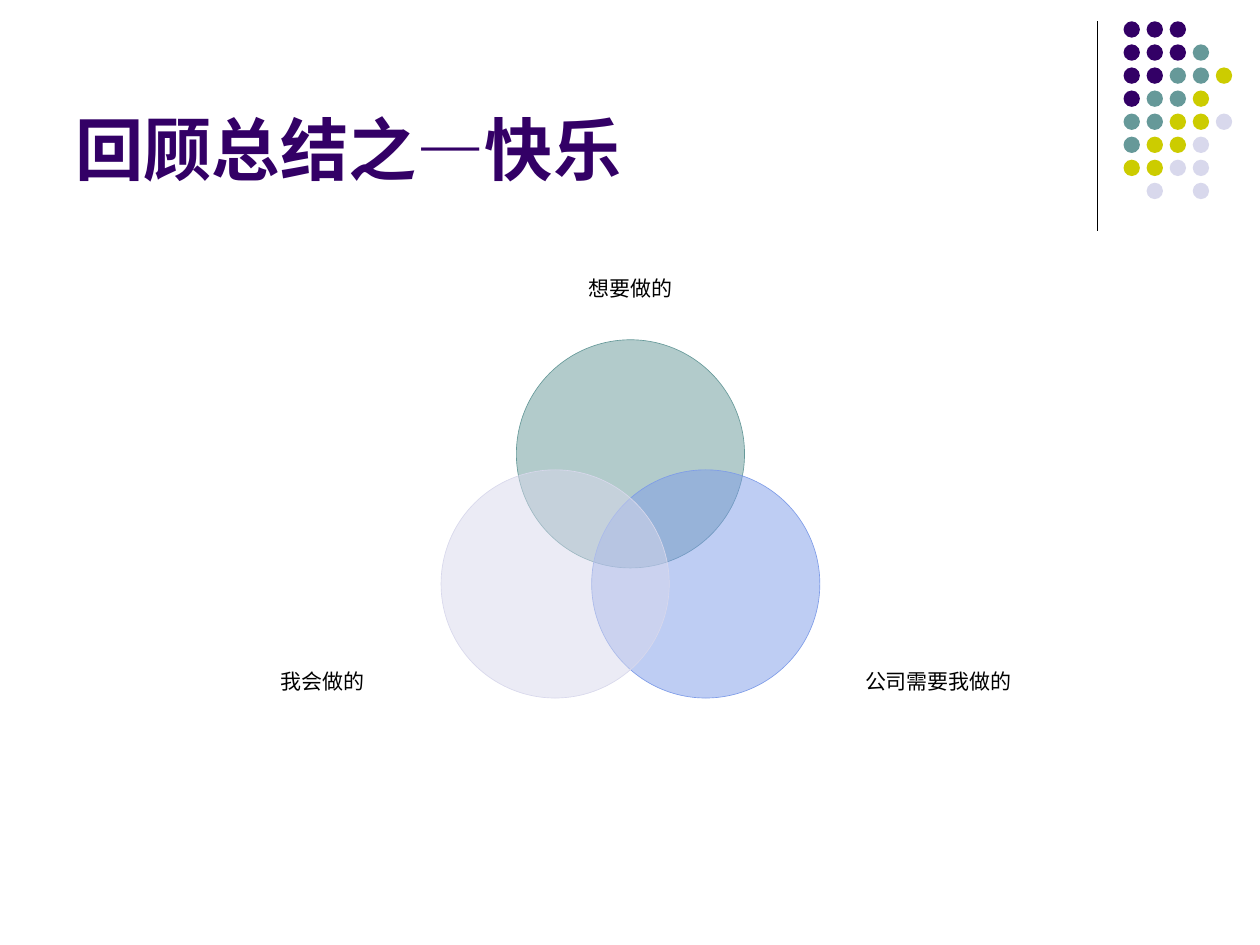
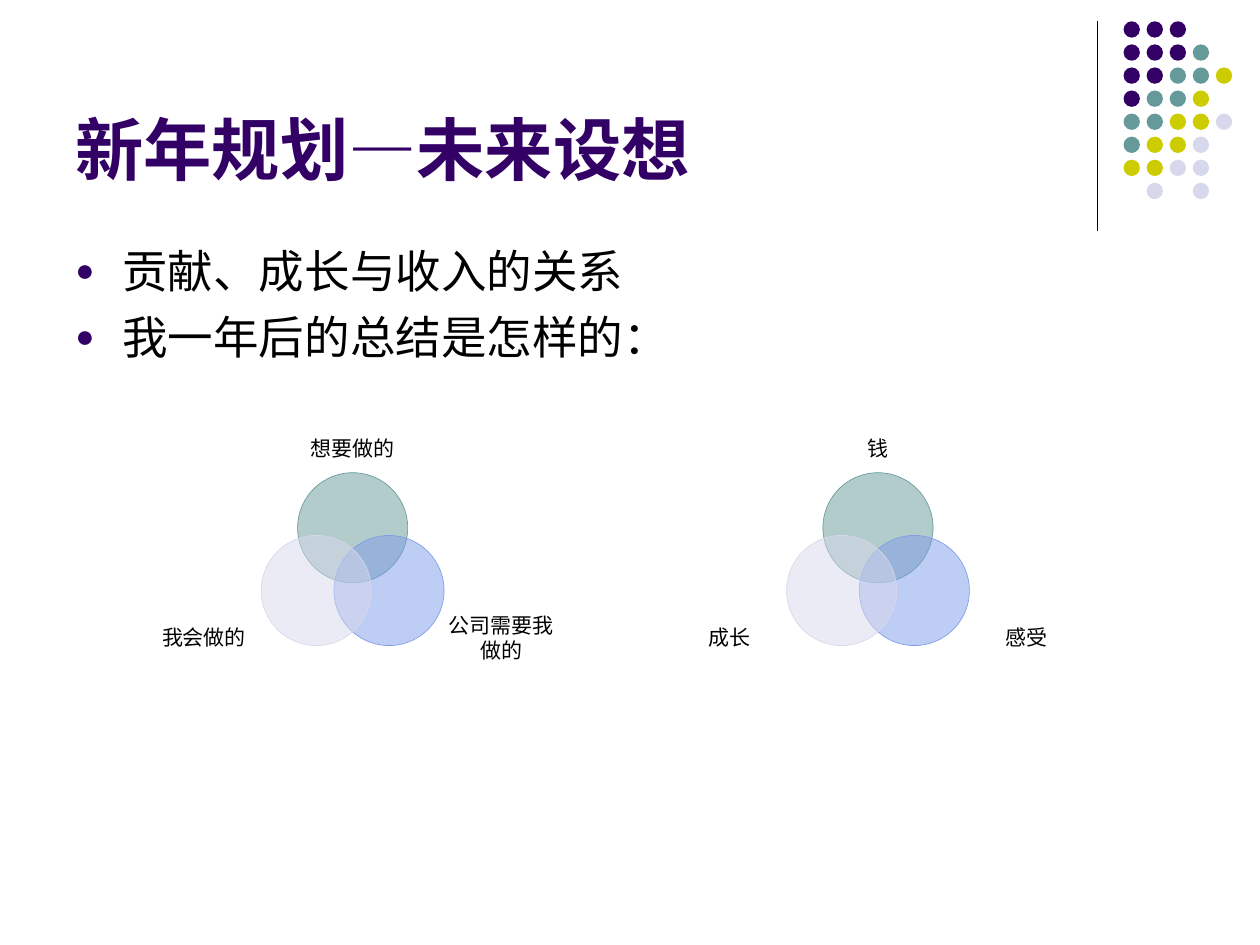
from lxml import etree
from pptx import Presentation
from pptx.dml.color import RGBColor
from pptx.enum.shapes import MSO_CONNECTOR, MSO_SHAPE
from pptx.enum.text import MSO_ANCHOR, PP_ALIGN
from pptx.oxml.ns import qn
from pptx.util import Cm, Pt

ELLIPSE = MSO_SHAPE.OVAL
STRAIGHT = MSO_CONNECTOR.STRAIGHT
TOP, MIDDLE, BOTTOM = MSO_ANCHOR.TOP, MSO_ANCHOR.MIDDLE, MSO_ANCHOR.BOTTOM
CENTER = PP_ALIGN.CENTER
BLANK_LAYOUT = 6

FONT = "Arial"
BLACK, PURPLE, TEAL = "000000", "330066", "669999"
OLIVE, LAVENDER, BLUE = "CCCC00", "D8D8EC", "7E9CE8"

DOT_COLORS = {"P": PURPLE, "T": TEAL, "O": OLIVE, "L": LAVENDER}
DOT_ROWS = ["PPP", "PPPT", "PPTTO", "PTTO", "TTOOL", "TOOL", "OOLL", " L L"]
DOT_LEFT, DOT_TOP, DOT_SIZE, DOT_PITCH = 22.65, 0.43, 0.33, 1.86 / 4

# Circle and label offsets from the top circle's corner, in circle diameters
VENN_LAYOUT = [
    (TEAL, (0, 0), (0, -0.35)),
    (BLUE, (0.33, 0.57), (1.35, 1.37)),
    (LAVENDER, (-0.33, 0.57), (-1.35, 1.37)),
]
LABEL_HEIGHT = 0.25


def rgb(color):
    return RGBColor.from_string(color)


def add_circle(slide, left, top, diameter, color):
    circle = slide.shapes.add_shape(
        ELLIPSE, Cm(left), Cm(top), Cm(diameter), Cm(diameter))
    circle.shadow.inherit = False
    circle.fill.solid()
    circle.fill.fore_color.rgb = rgb(color)
    circle.line.fill.background()
    return circle


def add_text(slide, box, lines, size, color=BLACK, anchor=TOP):
    """Add a wrapping text box at box (left, top, width, height in cm)."""
    frame = slide.shapes.add_textbox(*map(Cm, box)).text_frame
    frame.word_wrap = True
    frame.vertical_anchor = anchor
    frame.text = "\n".join(lines)
    for paragraph in frame.paragraphs:
        paragraph.font.name = FONT
        paragraph.font.size = Pt(size)
        paragraph.font.color.rgb = rgb(color)
    return frame


def add_title(slide, title):
    frame = add_text(slide, (1.27, 0.33, 20.95, 3.6), [title], 39, PURPLE, BOTTOM)
    frame.paragraphs[0].font.bold = True


def add_bullets(slide, lines):
    frame = add_text(slide, (1.27, 4.78, 17.02, 12.24), lines, 26)
    for paragraph in frame.paragraphs:
        paragraph.space_before = Pt(6.5)
        properties = paragraph._p.get_or_add_pPr()
        properties.set("marL", str(Cm(0.95)))
        properties.set("indent", str(-Cm(0.95)))
        bullet = [
            etree.Element(qn("a:buClr")),
            etree.Element(qn("a:buSzPct"), val="70000"),
            etree.Element(qn("a:buFont"), typeface=FONT),
            etree.Element(qn("a:buChar"), char="●"),
        ]
        etree.SubElement(bullet[0], qn("a:srgbClr"), val=PURPLE)
        spacing = properties.find(qn("a:spcBef"))
        for element in reversed(bullet):
            spacing.addnext(element)


def add_venn(slide, left, top, diameter, labels):
    """Draw three overlapping circles; left and top place the upper one."""
    for label, (color, circle_at, label_at) in zip(labels, VENN_LAYOUT):
        circle = add_circle(slide, left + circle_at[0] * diameter,
                            top + circle_at[1] * diameter, diameter, color)
        circle.line.color.rgb = rgb(color)
        circle.line.width = Pt(0.37)
        fill_color = circle._element.spPr.find(qn("a:solidFill"))[0]
        etree.SubElement(fill_color, qn("a:alpha"), val="50000")

        box = (left + label_at[0] * diameter, top + label_at[1] * diameter,
               diameter, LABEL_HEIGHT * diameter)
        frame = add_text(slide, box, [label], 12, anchor=MIDDLE)
        frame.word_wrap = False
        frame.margin_left = frame.margin_right = 0
        frame.margin_top = frame.margin_bottom = 0
        frame.paragraphs[0].alignment = CENTER


def add_corner_dots(slide):
    divider = slide.shapes.add_connector(
        STRAIGHT, Cm(22.12), Cm(0.43), Cm(22.12), Cm(4.65))
    divider.line.color.rgb = rgb(BLACK)
    divider.line.width = Pt(0.75)
    etree.SubElement(divider._element.spPr, qn("a:effectLst"))
    for row, codes in enumerate(DOT_ROWS):
        for column, code in enumerate(codes):
            if code in DOT_COLORS:
                add_circle(slide, DOT_LEFT + column * DOT_PITCH,
                           DOT_TOP + row * DOT_PITCH, DOT_SIZE, DOT_COLORS[code])


def add_slide(presentation, title):
    slide = presentation.slides.add_slide(presentation.slide_layouts[BLANK_LAYOUT])
    add_corner_dots(slide)
    add_title(slide, title)
    return slide


def main():
    presentation = Presentation()
    presentation.slide_width = Cm(25.4)
    presentation.slide_height = Cm(19.05)
    work_labels = ["想要做的", "公司需要我做的", "我会做的"]

    review = add_slide(presentation, "回顾总结之—快乐")
    add_venn(review, 10.41, 6.85, 4.6, work_labels)

    plan = add_slide(presentation, "新年规划—未来设想")
    add_bullets(plan, ["贡献、成长与收入的关系", "我一年后的总结是怎样的："])
    add_venn(plan, 16.59, 9.53, 2.22, ["钱", "感受", "成长"])
    add_venn(plan, 6, 9.53, 2.22, work_labels)

    presentation.save("out.pptx")


if __name__ == "__main__":
    main()
